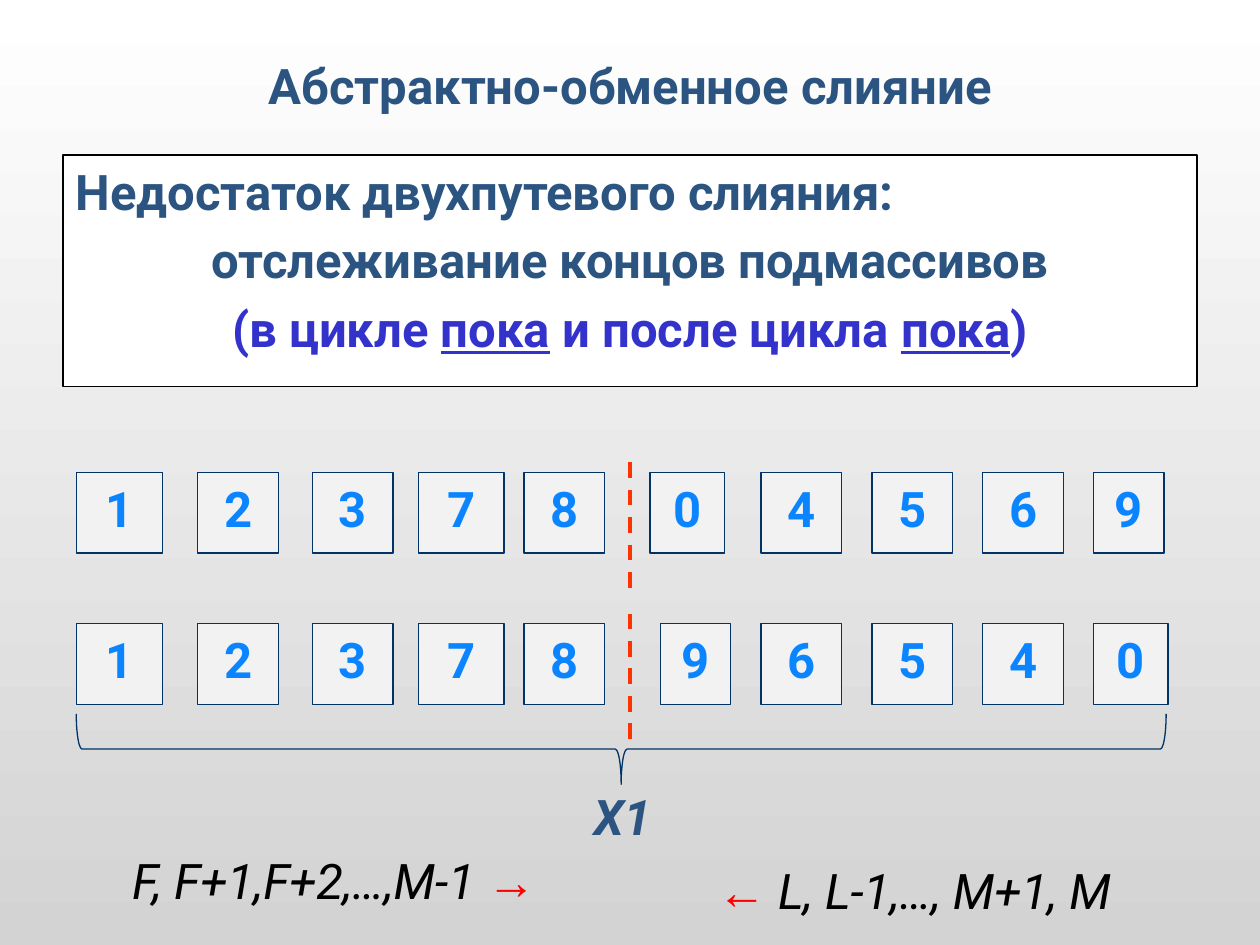
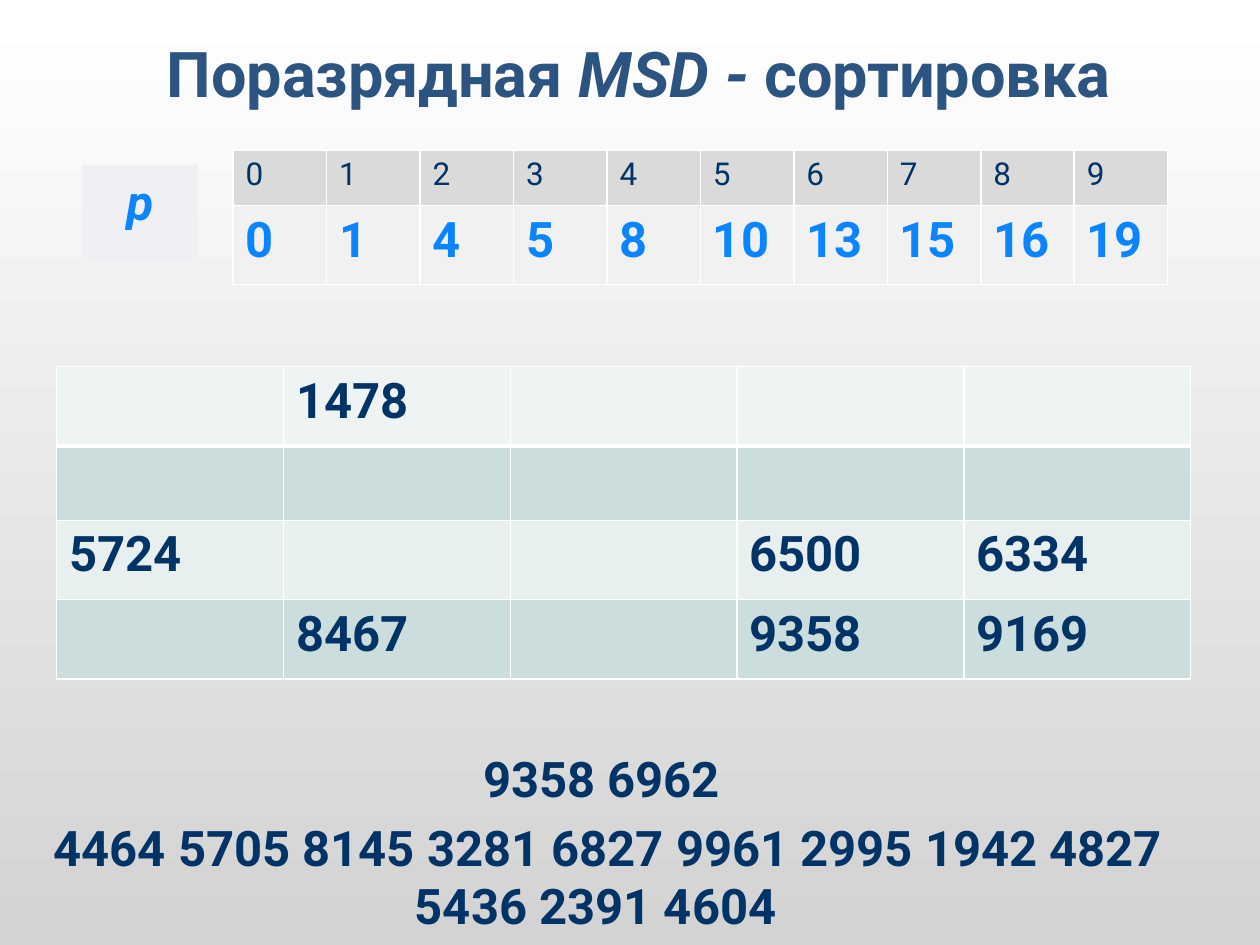
from dataclasses import dataclass

from lxml.etree import SubElement
from pptx import Presentation
from pptx.dml.color import RGBColor
from pptx.enum.dml import MSO_LINE
from pptx.enum.shapes import MSO_CONNECTOR, MSO_SHAPE
from pptx.enum.text import MSO_ANCHOR, MSO_AUTO_SIZE, PP_ALIGN
from pptx.oxml.ns import qn
from pptx.util import Inches, Pt


@dataclass(frozen=True)
class Theme:
    """Colours, fonts and type sizes shared by the slides."""
    font: str = "Roboto"
    arrow_font: str = "Arial"
    heading: str = "2B5481"
    navy: str = "003366"
    digit: str = "0A85FF"
    accent: str = "3333CC"
    divider: str = "FF3300"
    arrow: str = "FF0000"
    black: str = "000000"
    white: str = "FFFFFF"
    backdrop: str = "D3D3D3"
    cell: str = "F2F2F2"
    label: str = "EEF0F3"
    index_row: str = "DADADA"
    value_row: str = "F1F1F1"
    bucket_rows: tuple = ("EEF4F4", "CCDDDD", "E7EFEF", "CCDDDD")
    large: float = 36
    normal: float = 28
    small: float = 18
    gap: float = 5.6
    thin: float = 0.75
    grid: float = 0.96


@dataclass(frozen=True)
class Run:
    """One stretch of text with its own look."""
    text: str
    color: str
    size: float = Theme.normal
    bold: bool = True
    italic: bool = False
    underline: bool = False
    font: str = Theme.font


def rgb(code):
    """Turn a hex code into a colour."""
    return RGBColor.from_string(code)


class Deck:
    """Holds the style and the current slide, and draws its elements."""

    def __init__(self, theme):
        """Start a presentation with the shared gradient background."""
        self.theme = theme
        self.prs = Presentation()
        self.prs.slide_width, self.prs.slide_height = Inches(10), Inches(7.5)
        fill = self.prs.slide_master.background.fill
        fill.gradient()
        fill.gradient_angle = 270
        for stop, color, position in zip(fill.gradient_stops, (theme.white, theme.backdrop), (0, 1)):
            stop.color.rgb = rgb(color)
            stop.position = position

    def slide(self, layout, left, top, *runs):
        """Start a slide and fill its title."""
        self.current = self.prs.slides.add_slide(self.prs.slide_layouts.get_by_name(layout))
        title = self.current.shapes.title
        self.place(title, left, top, 9, 0.5)
        self.set_lines(title.text_frame, [runs], anchor=MSO_ANCHOR.MIDDLE)

    def place(self, shape, left, top, width, height):
        """Move and size a shape."""
        shape.left, shape.top = Inches(left), Inches(top)
        shape.width, shape.height = Inches(width), Inches(height)

    def set_lines(self, frame, lines, anchor=MSO_ANCHOR.TOP):
        """Set centred lines run by run."""
        frame.word_wrap = True
        frame.auto_size = MSO_AUTO_SIZE.NONE
        frame.vertical_anchor = anchor
        for number, runs in enumerate(lines):
            paragraph = frame.add_paragraph() if number else frame.paragraphs[0]
            paragraph.alignment = PP_ALIGN.CENTER
            paragraph.space_before = Pt(self.theme.gap if number else 0)
            self.add_runs(paragraph, runs)

    def add_runs(self, paragraph, runs):
        """Add formatted runs to a paragraph."""
        for part in runs:
            run = paragraph.add_run()
            run.text = part.text
            font = run.font
            font.name, font.size = part.font, Pt(part.size)
            font.bold, font.italic, font.underline = part.bold, part.italic, part.underline
            font.color.rgb = rgb(part.color)

    def body(self, box, lines):
        """Fill the body placeholder as a framed panel without bullets."""
        panel = self.current.placeholders[1]
        self.place(panel, *box)
        self.paint(panel, self.theme.white, self.theme.black)
        self.set_lines(panel.text_frame, lines)
        for paragraph in panel.text_frame.paragraphs:
            properties = paragraph._p.get_or_add_pPr()
            properties.set("marL", str(Inches(0.38)))
            properties.set("indent", str(-Inches(0.38)))
            SubElement(properties, qn("a:buNone"))
        panel.text_frame.paragraphs[0].alignment = PP_ALIGN.LEFT

    def paint(self, shape, fill=None, line=None):
        """Set the fill and outline of a shape."""
        if fill:
            shape.fill.solid()
            shape.fill.fore_color.rgb = rgb(fill)
        else:
            shape.fill.background()
        if line:
            shape.line.color.rgb = rgb(line)
            shape.line.width = Pt(self.theme.thin)
        else:
            shape.line.fill.background()

    def shape(self, kind, box, fill=None, line=None, runs=()):
        """Draw a preset shape."""
        shape = self.current.shapes.add_shape(kind, *map(Inches, box))
        shape.shadow.inherit = False
        self.paint(shape, fill, line)
        if runs:
            self.set_lines(shape.text_frame, [runs])
        return shape

    def text(self, box, *lines):
        """Draw a text box."""
        self.set_lines(self.current.shapes.add_textbox(*map(Inches, box)).text_frame, lines)

    def divider(self, x, top, bottom):
        """Draw a dashed vertical line."""
        line = self.current.shapes.add_connector(
            MSO_CONNECTOR.STRAIGHT, *map(Inches, (x, top, x, bottom)))
        line.line.color.rgb = rgb(self.theme.divider)
        line.line.width = Pt(2.25)
        line.line.dash_style = MSO_LINE.DASH
        SubElement(line._element.spPr, qn("a:effectLst"))

    def table(self, box, heights, rows, fills, looks, header_rule=Theme.grid):
        """Draw a table with white rules and one fill and look per row."""
        frame = self.current.shapes.add_table(len(rows), len(rows[0]), *map(Inches, box))
        table = frame.table
        table.first_row = table.horz_banding = False
        for r, (height, values, fill, look) in enumerate(zip(heights, rows, fills, looks)):
            table.rows[r].height = Inches(height)
            for c, value in enumerate(values):
                cell = table.cell(r, c)
                self.rule(cell, top=header_rule if r == 1 else self.theme.grid,
                          bottom=header_rule if r == 0 else self.theme.grid)
                cell.fill.solid()
                cell.fill.fore_color.rgb = rgb(fill)
                if value:
                    self.add_runs(cell.text_frame.paragraphs[0], [Run(value, **look)])

    def rule(self, cell, top, bottom):
        """Add white borders to a cell."""
        properties = cell._tc.get_or_add_tcPr()
        grid = self.theme.grid
        for side, width in zip("LRTB", (grid, grid, top, bottom)):
            border = SubElement(properties, qn(f"a:ln{side}"), w=str(Pt(width)))
            fill = SubElement(border, qn("a:solidFill"))
            SubElement(fill, qn("a:srgbClr"), val=self.theme.white)


def merge_slide(deck):
    """Build the slide on abstract exchange merging."""
    theme = deck.theme
    deck.slide("Title and Content", 0.5, 0.42, Run("Абстрактно-обменное слияние", theme.heading))
    deck.body((0.5, 1.23, 9, 1.84), [
        [Run("Недостаток двухпутевого слияния:", theme.heading)],
        [Run("отслеживание концов подмассивов", theme.heading)],
        [Run("(в цикле ", theme.accent), Run("пока", theme.accent, underline=True),
         Run(" и после цикла ", theme.accent), Run("пока", theme.accent, underline=True),
         Run(")", theme.accent)],
    ])

    digit_widths = {"1": 0.68, "7": 0.68, "9": 0.56, "0": 0.59}
    left_half = [0.61, 1.57, 2.48, 3.32, 4.16]
    right_half = [6.04 + 0.88 * step for step in range(4)]
    for top, digits, middle in ((3.75, "1237804569", 5.16), (4.95, "1237896540", 5.24)):
        for digit, left in zip(digits, [*left_half, middle, *right_half]):
            deck.shape(MSO_SHAPE.RECTANGLE, (left, top, digit_widths.get(digit, 0.64), 0.64),
                       theme.cell, theme.navy, [Run(digit, theme.digit)])
        deck.divider(5, top - 0.08, top + 0.92)

    brace = deck.shape(MSO_SHAPE.LEFT_BRACE, (4.65, 1.62, 0.56, 8.65), line=theme.navy)
    brace.rotation = 270
    brace.adjustments[0] = 0.083
    deck.text((4, 6.19, 1.88, 0.6), [Run("X1", theme.heading, italic=True)])

    order = dict(color=theme.black, bold=False, italic=True)
    arrow = dict(color=theme.arrow, bold=False, italic=True, font=theme.arrow_font)
    deck.text((0.37, 6.7, 4.67, 0.56), [Run("F, F+1,F+2,…,M-1 ", **order), Run("→ ", **arrow)])
    deck.text((4.92, 6.78, 4.67, 0.56), [Run("←", **arrow), Run(" L, L-1,…, M+1, M", **order)])


def radix_slide(deck):
    """Build the slide on MSD radix sorting."""
    theme = deck.theme
    heading = dict(color=theme.heading, size=theme.large)
    deck.slide("Title Only", 0.57, 0.32, Run("Поразрядная ", **heading),
               Run("MSD - ", italic=True, **heading), Run("сортировка", **heading))

    number = dict(color=theme.navy)
    buckets = [
        ["", "1478", "", "", ""],
        [""] * 5,
        ["5724", "", "", "6500", "6334"],
        ["", "8467", "", "9358", "9169"],
    ]
    deck.table((0.45, 2.91, 9, 2.48), (0.63, 0.59, 0.63, 0.63), buckets,
               theme.bucket_rows, [number] * 4, header_rule=3)

    deck.shape(MSO_SHAPE.RECTANGLE, (0.65, 1.31, 0.92, 0.76), theme.label,
               runs=[Run("p", theme.digit, italic=True)])
    positions = ["0 1 2 3 4 5 6 7 8 9".split(), "0 1 4 5 8 10 13 15 16 19".split()]
    deck.table((1.85, 1.19, 7.42, 1.07), (0.44, 0.63), positions,
               (theme.index_row, theme.value_row),
               (dict(color=theme.navy, size=theme.small, bold=False), dict(color=theme.digit)))

    deck.text((0, 5.89, 9.55, 1.58), [Run("9358 6962", **number)],
              [Run(" 4464 5705 8145 3281 6827 9961 2995 1942 4827 5436 2391 4604 ", **number)])


def main():
    """Build and save the presentation."""
    deck = Deck(Theme())
    merge_slide(deck)
    radix_slide(deck)
    deck.prs.save("out.pptx")


if __name__ == "__main__":
    main()
